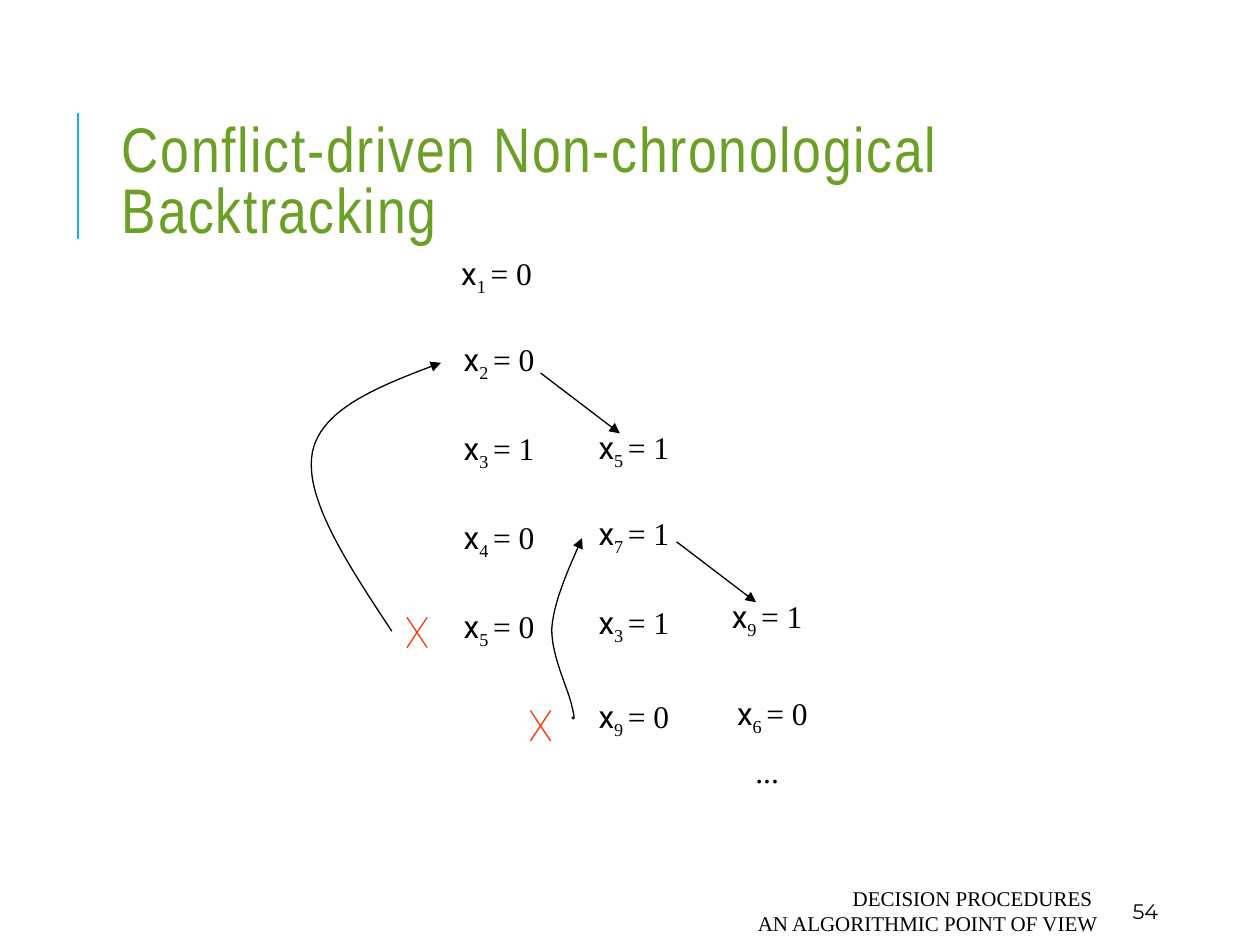
from dataclasses import dataclass

from lxml import etree
from pptx import Presentation
from pptx.dml.color import RGBColor
from pptx.enum.shapes import MSO_CONNECTOR
from pptx.enum.text import MSO_ANCHOR, MSO_AUTO_SIZE, PP_ALIGN
from pptx.oxml.ns import qn
from pptx.util import Pt

LEFT, RIGHT = PP_ALIGN.LEFT, PP_ALIGN.RIGHT
TOP, MIDDLE = MSO_ANCHOR.TOP, MSO_ANCHOR.MIDDLE
FIT = MSO_AUTO_SIZE.SHAPE_TO_FIT_TEXT
STRAIGHT = MSO_CONNECTOR.STRAIGHT

PX = 9144
CURVE_STEPS = 24
SERIF = "Times New Roman"
COLORS = {"accent": "1CADE4", "title": "6B9F25", "ink": "000000", "conflict": "FF3300"}

Point = tuple[int, int]


@dataclass
class Assignment:
    index: int
    value: int
    x: int
    y: int
    align: PP_ALIGN = RIGHT


@dataclass
class Line:
    start: Point
    end: Point
    color: str = "ink"
    width: float = 0.75
    arrow: bool = False


@dataclass
class Curve:
    start: Point
    beziers: list[tuple[Point, Point, Point]]


ASSIGNMENTS = [
    Assignment(1, 0, 352, 197),
    Assignment(2, 0, 354, 265),
    Assignment(3, 1, 354, 336),
    Assignment(4, 0, 354, 406),
    Assignment(5, 0, 354, 477),
    Assignment(5, 1, 461, 335),
    Assignment(7, 1, 461, 403),
    Assignment(3, 1, 461, 474),
    Assignment(9, 0, 461, 548),
    Assignment(9, 1, 571, 469, LEFT),
    Assignment(6, 0, 571, 546),
]
LINES = [
    Line((62, 190), (62, 90), "accent", 1.5),
    Line((429, 296), (492, 344), arrow=True),
    Line((537, 430), (600, 478), arrow=True),
]
CONFLICTS = [(323, 490), (421, 564)]
CROSS_W, CROSS_H = 16, 24
BACKTRACKS = [
    Curve((311, 501), [((276, 448), (241, 395), (248, 359)),
                       ((255, 324), (302, 306), (350, 288))]),
    Curve((454, 569), [((455, 571), (457, 573), (454, 561)),
                       ((452, 549), (437, 520), (438, 498)),
                       ((440, 476), (451, 452), (462, 427))]),
]


def rgb(name: str) -> RGBColor:
    return RGBColor.from_string(COLORS[name])


def add_box(s, x: int, y: int, w: int, h: int, align=LEFT, anchor=MIDDLE, wrap=True):
    tf = s.shapes.add_textbox(x * PX, y * PX, w * PX, h * PX).text_frame
    tf.word_wrap = wrap
    tf.vertical_anchor = anchor
    if not wrap:
        tf.auto_size = FIT
    p = tf.paragraphs[0]
    p.alignment = align
    return p


def add_run(p, text: str, size: int, font: str, color: str = "ink", **attrs: str) -> None:
    r = p.add_run()
    r.text = text
    r.font.size = Pt(size)
    r.font.name = font
    r.font.color.rgb = rgb(color)
    for name, value in attrs.items():
        r.font._element.set(name, value)


def style_line(line, color: str, width: float, arrow: bool) -> None:
    line.color.rgb = rgb(color)
    line.width = Pt(width)
    if arrow:
        etree.SubElement(line._get_or_add_ln(), qn("a:tailEnd"), type="triangle")


def add_line(s, item: Line) -> None:
    (x1, y1), (x2, y2) = item.start, item.end
    sp = s.shapes.add_connector(STRAIGHT, x1 * PX, y1 * PX, x2 * PX, y2 * PX)
    style_line(sp.line, item.color, item.width, item.arrow)
    etree.SubElement(sp._element.spPr, qn("a:effectLst"))


def add_conflict(s, x: int, y: int) -> None:
    right, bottom = x + CROSS_W, y + CROSS_H
    add_line(s, Line((x, y), (right, bottom), "conflict"))
    add_line(s, Line((x, bottom), (right, y), "conflict"))


def bezier_at(t: float, *points: Point) -> tuple[float, float]:
    u = 1 - t
    weights = (u ** 3, 3 * u * u * t, 3 * u * t * t, t ** 3)
    x, y = (sum(k * c for k, c in zip(weights, axis)) * PX for axis in zip(*points))
    return x, y


def add_curve(s, curve: Curve) -> None:
    start, points = curve.start, []
    for c1, c2, end in curve.beziers:
        points += [bezier_at(i / CURVE_STEPS, start, c1, c2, end)
                   for i in range(1, CURVE_STEPS + 1)]
        start = end
    x, y = curve.start
    builder = s.shapes.build_freeform(x * PX, y * PX)
    builder.add_line_segments(points, close=False)
    sp = builder.convert_to_shape()
    sp.shadow.inherit = False
    sp.fill.background()
    style_line(sp.line, "ink", 0.75, True)


def add_assignment(s, a: Assignment) -> None:
    p = add_box(s, a.x, a.y, 80, 40, a.align, TOP, wrap=False)
    add_run(p, "x", 18, "Roboto")
    add_run(p, f"{a.index} ", 18, SERIF, baseline="-25000")
    add_run(p, f"= {a.value}", 18, SERIF)


def main() -> None:
    prs = Presentation()
    prs.slide_width, prs.slide_height = 1000 * PX, 750 * PX
    s = prs.slides.add_slide(prs.slide_layouts[6])

    p = add_box(s, 87, 94, 900, 105)
    p.line_spacing = 0.8
    add_run(p, "Conflict-driven Non-chronological Backtracking", 36,
            "Arial Narrow", "title", spc="100")

    p = add_box(s, 397, 708, 484, 30, RIGHT)
    add_run(p, "DECISION PROCEDURES ", 12, SERIF)
    p.add_line_break()
    add_run(p, "AN ALGORITHMIC POINT OF VIEW", 12, SERIF)
    add_run(add_box(s, 889, 708, 80, 30), "54", 12, "Montserrat")

    for a in ASSIGNMENTS:
        add_assignment(s, a)
    add_run(add_box(s, 589, 592, 39, 40, RIGHT, TOP, wrap=False), "...", 18, SERIF)

    for line in LINES:
        add_line(s, line)
    for x, y in CONFLICTS:
        add_conflict(s, x, y)
    for curve in BACKTRACKS:
        add_curve(s, curve)

    prs.save("out.pptx")


if __name__ == "__main__":
    main()
